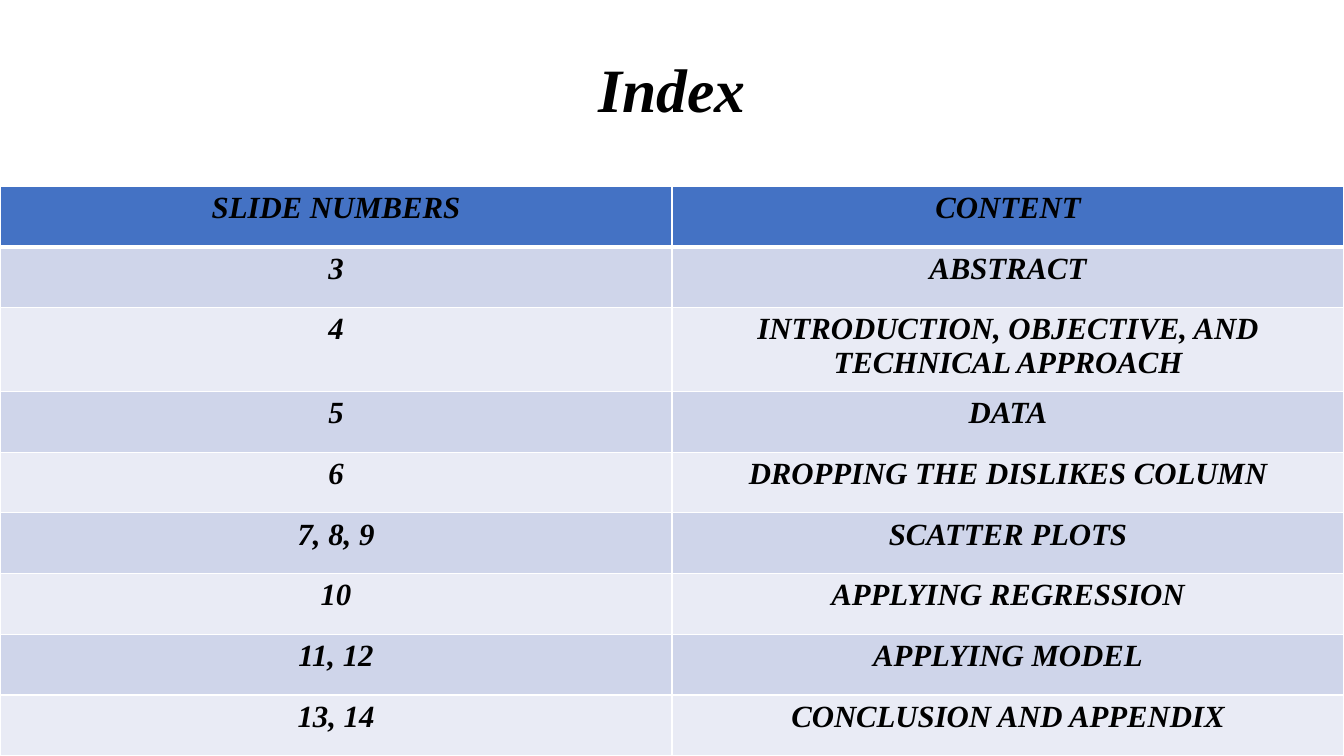
"""Build the index slide: a centred title above a two-column table."""
from lxml import etree
from pptx import Presentation
from pptx.dml.color import RGBColor
from pptx.enum import text
from pptx.oxml import ns
from pptx.util import Pt

TITLE = "Index"
ROWS = [
    ("SLIDE NUMBERS", "CONTENT"),
    ("3", "ABSTRACT"),
    ("4", "INTRODUCTION, OBJECTIVE, AND TECHNICAL APPROACH"),
    ("5", "DATA"),
    ("6", "DROPPING THE DISLIKES COLUMN"),
    ("7, 8, 9", "SCATTER PLOTS"),
    ("10", "APPLYING REGRESSION"),
    ("11, 12", "APPLYING MODEL"),
    ("13, 14", "CONCLUSION AND APPENDIX"),
]
BLACK = RGBColor(0, 0, 0)
WHITE = RGBColor(255, 255, 255)
BLUE = RGBColor(0x44, 0x72, 0xC4)
BANDS = RGBColor(0xE9, 0xEB, 0xF5), RGBColor(0xCF, 0xD5, 0xEA)
FONT = "Times New Roman"
WIDE, HIGH = 1344, 756
TOP, DEEP = 186, 570
TALL, TALL_ROW = 84, 2


def px(n):
    return round(n * 914400 / 100.8)


def write(frame, words, size=22, color=BLACK, spacing=1.0):
    par = frame.paragraphs[0]
    par.alignment = text.PP_ALIGN.CENTER
    par.line_spacing = spacing
    run = par.add_run()
    run.text = words
    font = run.font
    font.name, font.size = FONT, Pt(size)
    font.bold = font.italic = True
    font.color.rgb = color


def edge(cell, **widths):
    props = cell._tc.get_or_add_tcPr()
    for side, width in widths.items():
        line = etree.SubElement(props, ns.qn(f"a:ln{side}"), w=str(Pt(width)))
        fill = etree.SubElement(line, ns.qn("a:solidFill"))
        etree.SubElement(fill, ns.qn("a:srgbClr"), val=str(WHITE))


def main():
    deck = Presentation()
    deck.slide_width, deck.slide_height = px(WIDE), px(HIGH)
    slide = deck.slides.add_slide(deck.slide_layouts[5])

    title = slide.shapes.title
    title.left, title.top = 0, 0
    title.width, title.height = px(WIDE), px(TOP)
    frame = title.text_frame
    frame.auto_size = text.MSO_AUTO_SIZE.NONE
    frame.vertical_anchor = text.MSO_ANCHOR.MIDDLE
    write(frame, TITLE, size=44, spacing=0.9)

    count = len(ROWS)
    table = slide.shapes.add_table(
        count, 2, 0, px(TOP), px(WIDE), px(DEEP)).table
    for col in table.columns:
        col.width = px(WIDE / 2)
    short = (DEEP - TALL) / (count - 1)
    for i, row in enumerate(ROWS):
        table.rows[i].height = px(TALL if i == TALL_ROW else short)
        for j, words in enumerate(row):
            cell = table.cell(i, j)
            write(cell.text_frame, words)
            edge(cell, L=1, R=1, T=3 if i == 1 else 1, B=1 if i else 3)
            cell.fill.solid()
            cell.fill.fore_color.rgb = BANDS[i % 2] if i else BLUE

    deck.save("out.pptx")


if __name__ == "__main__":
    main()
